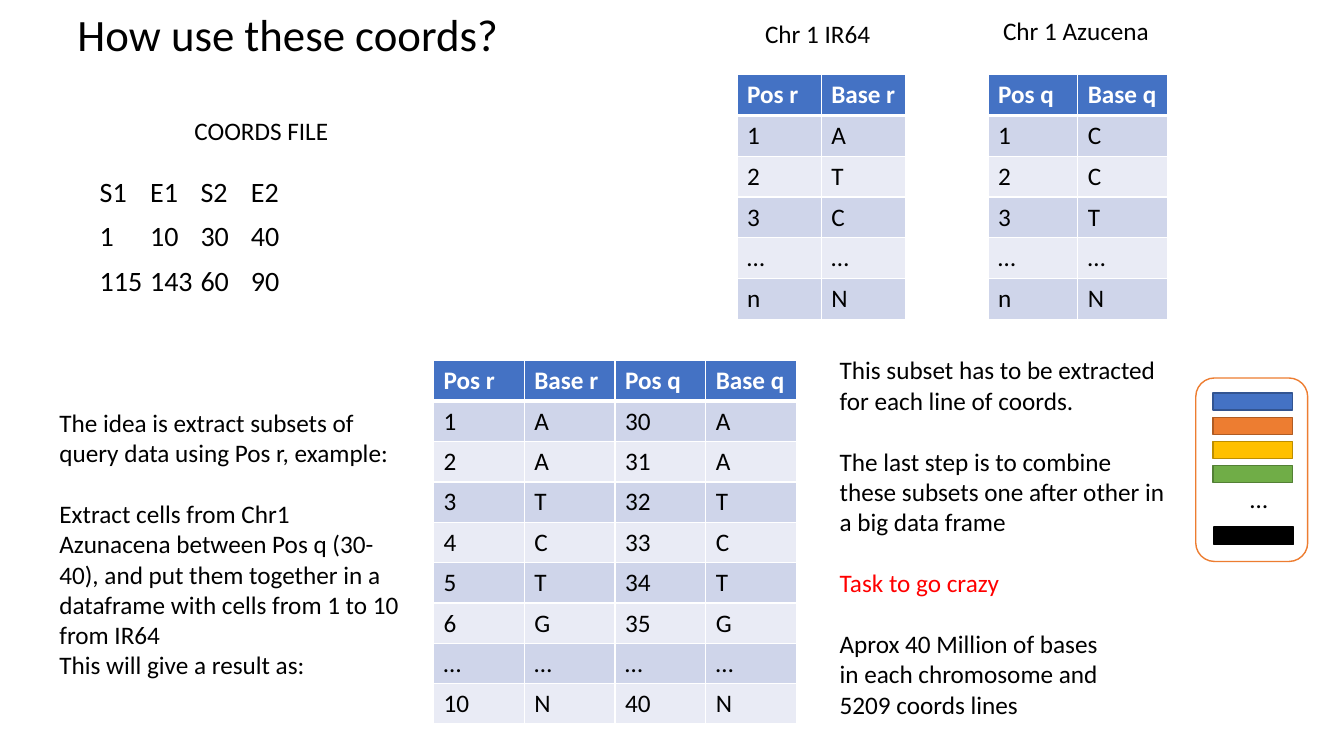
from dataclasses import dataclass

import pptx
import pptx.dml.color
import pptx.enum.shapes
import pptx.enum.text
import pptx.oxml
import pptx.oxml.ns
import pptx.util

Inches = pptx.util.Inches
Pt = pptx.util.Pt


@dataclass(frozen=True)
class Theme:
    font: str = "Calibri"
    title: int = 32
    coords: int = 20
    body: int = 18
    gap: int = 22
    black: str = "000000"
    white: str = "FFFFFF"
    red: str = "FF0000"
    blue: str = "4472C4"
    orange: str = "ED7D31"
    bands: tuple = ("E9EBF5", "CFD5EA")
    subsets: tuple = (
        ("4472C4", "325491"),
        ("ED7D31", "AF5C24"),
        ("FFC000", "BD8E00"),
        ("70AD47", "538035"),
    )


THEME = Theme()


def rgb(code):
    return pptx.dml.color.RGBColor.from_string(code)


def add_run(p, text, size, color=THEME.black, bold=False):
    r = p.add_run()
    r.text = text
    r.font.name = THEME.font
    r.font.size = Pt(size)
    r.font.bold = bold
    r.font.color.rgb = rgb(color)


def add_text(slide, box, paragraphs, size=THEME.body, line_spacing=None, middle=False):
    sp = slide.shapes.add_textbox(*map(Inches, box))
    tf = sp.text_frame
    tf.word_wrap = True
    if middle:
        tf.vertical_anchor = pptx.enum.text.MSO_ANCHOR.MIDDLE
    for i, (text, space_before, color) in enumerate(paragraphs):
        p = tf.paragraphs[0] if i == 0 else tf.add_paragraph()
        p.space_before = Pt(space_before)
        if line_spacing:
            p.line_spacing = line_spacing
        add_run(p, text, size, color)


def add_label(slide, box, text, **style):
    add_text(slide, box, [(text, 0, THEME.black)], **style)


def add_block(slide, kind, box, fill, line):
    sp = slide.shapes.add_shape(kind, *map(Inches, box))
    sp.shadow.inherit = False
    sp.fill.solid()
    sp.fill.fore_color.rgb = rgb(fill)
    sp.line.color.rgb = rgb(line)
    sp.line.width = Pt(1)


def set_borders(cell, top, bottom):
    tc_pr = cell._tc.get_or_add_tcPr()
    for side, width in (("L", 1), ("R", 1), ("T", top), ("B", bottom)):
        tc_pr.append(pptx.oxml.parse_xml(
            f'<a:ln{side} {pptx.oxml.ns.nsdecls("a")} w="{Pt(width)}"><a:solidFill>'
            f'<a:srgbClr val="{THEME.white}"/></a:solidFill></a:ln{side}>'
        ))


def add_bases_table(slide, left, top, col_width, row_height, rows):
    n_rows, n_cols = len(rows), len(rows[0])
    table = slide.shapes.add_table(
        n_rows, n_cols, Inches(left), Inches(top),
        Inches(col_width * n_cols), Inches(row_height * n_rows),
    ).table
    for col in table.columns:
        col.width = Inches(col_width)
    for i, values in enumerate(rows):
        header = i == 0
        table.rows[i].height = Inches(row_height)
        for j, value in enumerate(values):
            cell = table.cell(i, j)
            set_borders(cell, 3 if i == 1 else 1, 3 if header else 1)
            cell.fill.solid()
            cell.fill.fore_color.rgb = rgb(THEME.blue if header else THEME.bands[i % 2])
            color = THEME.white if header else THEME.black
            add_run(cell.text_frame.paragraphs[0], value, THEME.body, color, header)


def add_subset_stack(slide):
    shapes = pptx.enum.shapes.MSO_SHAPE
    for i, (fill, line) in enumerate(THEME.subsets):
        add_block(slide, shapes.RECTANGLE, (12.03, 3.9 + 0.24 * i, 0.79, 0.17), fill, line)
    add_block(slide, shapes.RECTANGLE, (12.04, 5.23, 0.79, 0.17), THEME.black, THEME.black)
    add_label(slide, (12.3, 4.75, 0.43, 0.4), "…")


def main():
    prs = pptx.Presentation()
    prs.slide_width = Inches(13.33)
    prs.slide_height = Inches(7.5)
    slide = prs.slides.add_slide(prs.slide_layouts[6])
    black, gap = THEME.black, THEME.gap

    add_block(slide, pptx.enum.shapes.MSO_SHAPE.ROUNDED_RECTANGLE,
              (11.86, 3.75, 1.11, 1.82), THEME.white, THEME.orange)
    add_label(slide, (0.67, -0.36, 11.5, 1.45), "How use these coords?",
              size=THEME.title, line_spacing=0.9, middle=True)

    positions = ("1", "2", "3", "…", "n")
    add_bases_table(slide, 7.31, 0.74, 0.835, 0.405,
                    [("Pos r", "Base r"), *zip(positions, "ATC…N")])
    add_bases_table(slide, 9.8, 0.74, 0.89, 0.405,
                    [("Pos q", "Base q"), *zip(positions, "CCT…N")])

    add_text(slide, (0.49, 3.99, 3.61, 3.13), [
        ("The idea is extract subsets of query data using Pos r, example:", 0, black),
        ("Extract cells from Chr1 Azunacena between Pos q (30-40), and put them "
         "together in a dataframe with cells from 1 to 10 from IR64", gap, black),
        ("This will give a result as:", 0, black),
    ])
    coords = (("S1", "E1", "S2", "E2"), ("1", "10", "30", "40"), ("115", "143", "60", "90"))
    add_text(slide, (0.89, 1.72, 3.78, 1.63),
             [("\t".join(row), 10, black) for row in coords],
             size=THEME.coords, line_spacing=0.9)
    add_label(slide, (1.83, 1.09, 3.87, 0.4), "COORDS FILE")
    add_label(slide, (7.49, 0.13, 1.6, 0.42), "Chr 1 IR64")
    add_label(slide, (9.85, 0.1, 1.68, 0.4), "Chr 1 Azucena")

    matches = [(str(n), base, str(n + 29), base) for n, base in enumerate("AATCTG", 1)]
    add_bases_table(slide, 4.3, 3.58, 0.9, 0.4, [
        ("Pos r", "Base r", "Pos q", "Base q"),
        *matches,
        ("…",) * 4,
        ("10", "N", "40", "N"),
    ])

    add_text(slide, (8.23, 3.47, 3.5, 4.04), [
        ("This subset has to be extracted for each line of coords.", 0, black),
        ("The last step is to combine these subsets one after other in a big data frame",
         gap, black),
        ("Task to go crazy", gap, THEME.red),
        ("Aprox 40 Million of bases", gap, black),
        ("in each chromosome and", 0, black),
        ("5209 coords lines", 0, black),
    ])
    add_subset_stack(slide)
    prs.save("out.pptx")


if __name__ == "__main__":
    main()
